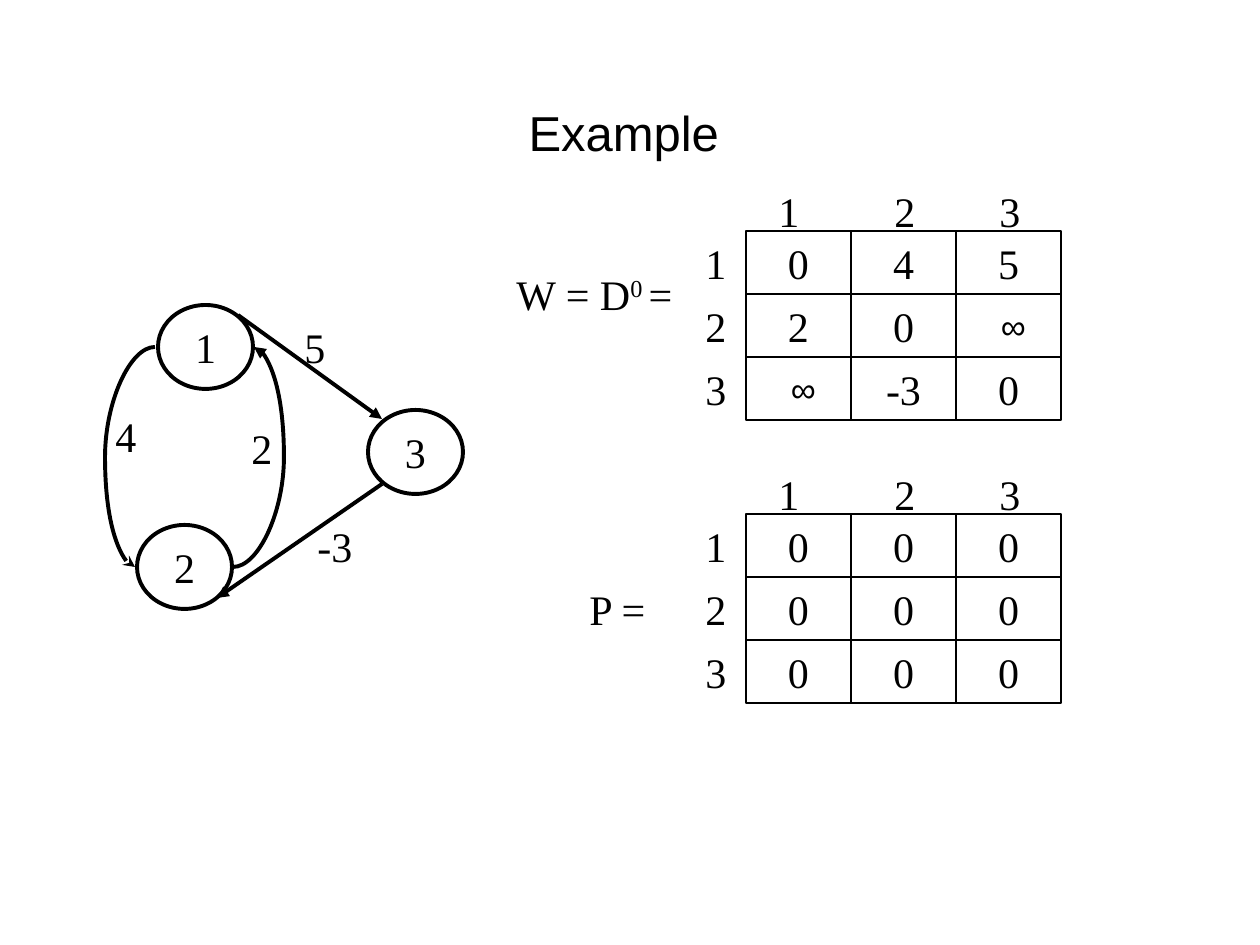
from lxml import etree
from pptx import Presentation
from pptx.dml.color import RGBColor
from pptx.enum.shapes import MSO_CONNECTOR, MSO_SHAPE
from pptx.enum.text import MSO_ANCHOR, MSO_AUTO_SIZE, PP_ALIGN
from pptx.oxml.ns import qn
from pptx.util import Pt

PX = 914400 / 126
RECT, OVAL = MSO_SHAPE.RECTANGLE, MSO_SHAPE.OVAL
LINE, CURVE = MSO_CONNECTOR.STRAIGHT, MSO_CONNECTOR.CURVE
CENTER, LEFT = PP_ALIGN.CENTER, PP_ALIGN.LEFT
MIDDLE, TOP = MSO_ANCHOR.MIDDLE, MSO_ANCHOR.TOP
GROW = MSO_AUTO_SIZE.SHAPE_TO_FIT_TEXT

COLORS = {"ink": "000000"}
INK = RGBColor.from_string(COLORS["ink"])
SERIF = {"name": "Times New Roman", "size": Pt(24)}
SIGN = {"name": "Arial", "size": Pt(20)}
HEAD = {"name": "Arial", "size": Pt(28)}


def write(shape, text, font=SERIF, align=CENTER, anchor=MIDDLE, wrap=False):
    """Fill a shape with one paragraph; text after ^ is raised up to the next ^."""
    frame = shape.text_frame
    frame.word_wrap = wrap
    frame.vertical_anchor = anchor
    line = frame.paragraphs[0]
    line.alignment = align
    for i, part in enumerate(text.split("^")):
        run = line.add_run()
        run.text = part
        for key, value in font.items():
            setattr(run.font, key, value)
        run.font.color.rgb = INK
        if i % 2:
            run._r.get_or_add_rPr().set("baseline", "30000")


def place(shapes, kind, text, box, width=0, font=SERIF):
    """Add an outlined shape, or a plain label when kind is None."""
    box = [round(n * PX) for n in box]
    if kind is None:
        label = shapes.add_textbox(*box)
        write(label, text, font, LEFT, TOP)
        label.text_frame.auto_size = GROW
        return
    shape = shapes.add_shape(kind, *box)
    shape.shadow.inherit = False
    shape.fill.background()
    shape.line.color.rgb = INK
    shape.line.width = Pt(width)
    write(shape, text, font)


deck = Presentation()
deck.slide_width, deck.slide_height = round(1260 * PX), round(945 * PX)
slide = deck.slides.add_slide(deck.slide_layouts[5])
shapes = slide.shapes

title = shapes.title
spot = {"left": 95, "top": 84, "width": 1071, "height": 95}
for key, value in spot.items():
    setattr(title, key, round(value * PX))
write(title, "Example ", HEAD, wrap=True)

# Matrices with row and column numbers
WIDE, HIGH, X = 105, 63, 746
grids = [
    (231, [["0", "4", "5"], ["2", "0", " ∞"], [" ∞", "-3", "0"]]),
    (514, [["0"] * 3] * 3),
]
for top, rows in grids:
    group = shapes.add_group_shape().shapes
    for r, row in enumerate(rows):
        y = top + r * HIGH
        for c, text in enumerate(row):
            font = SIGN if "∞" in text else SERIF
            place(group, RECT, text, (X + c * WIDE, y, WIDE, HIGH), 1, font)
        place(group, None, str(r + 1), (693, y, 46, HIGH))
    for c, x in enumerate((766, 882, 987)):
        place(group, None, str(c + 1), (x, top - 52, 46, HIGH))

# Graph nodes
for text, x, y in (("1", 158, 305), ("2", 137, 525), ("3", 368, 410)):
    place(shapes, OVAL, text, (x, y, 95, 84), 2.25)

# Graph edges: kind, start, end, arrow end, arrow style, bend
edges = [
    (LINE, (238, 315), (382, 419), "tailEnd", "triangle", None),
    (LINE, (382, 484), (217, 598), "tailEnd", "triangle", None),
    (CURVE, (135, 567), (155, 347), "headEnd", "stealth", 105),
    (CURVE, (233, 567), (254, 347), "tailEnd", "triangle", 284),
]
for kind, start, end, tip, style, bend in edges:
    edge = shapes.add_connector(kind, *[round(n * PX) for n in start + end])
    edge.line.color.rgb = INK
    edge.line.width = Pt(2.25)
    props = edge._element.spPr
    etree.SubElement(props.find(qn("a:ln")), qn("a:" + tip), type=style)
    etree.SubElement(props, qn("a:effectLst"))
    if bend is not None:
        ratio = (bend - start[0]) / (end[0] - start[0])
        guides = props.find(qn("a:prstGeom")).find(qn("a:avLst"))
        etree.SubElement(guides, qn("a:gd"), name="adj1",
                         fmla=f"val {round(ratio * 100000)}")

# Matrix names and edge weights
labels = [
    ("W = D^0 ^=", 504, 262, 185),
    ("P =", 577, 577, 83),
    ("5", 292, 315, 46),
    ("-3", 305, 514, 60),
    ("2", 239, 416, 46),
    ("4", 103, 404, 46),
]
for text, x, y, w in labels:
    place(shapes, None, text, (x, y, w, HIGH))

deck.save("out.pptx")
